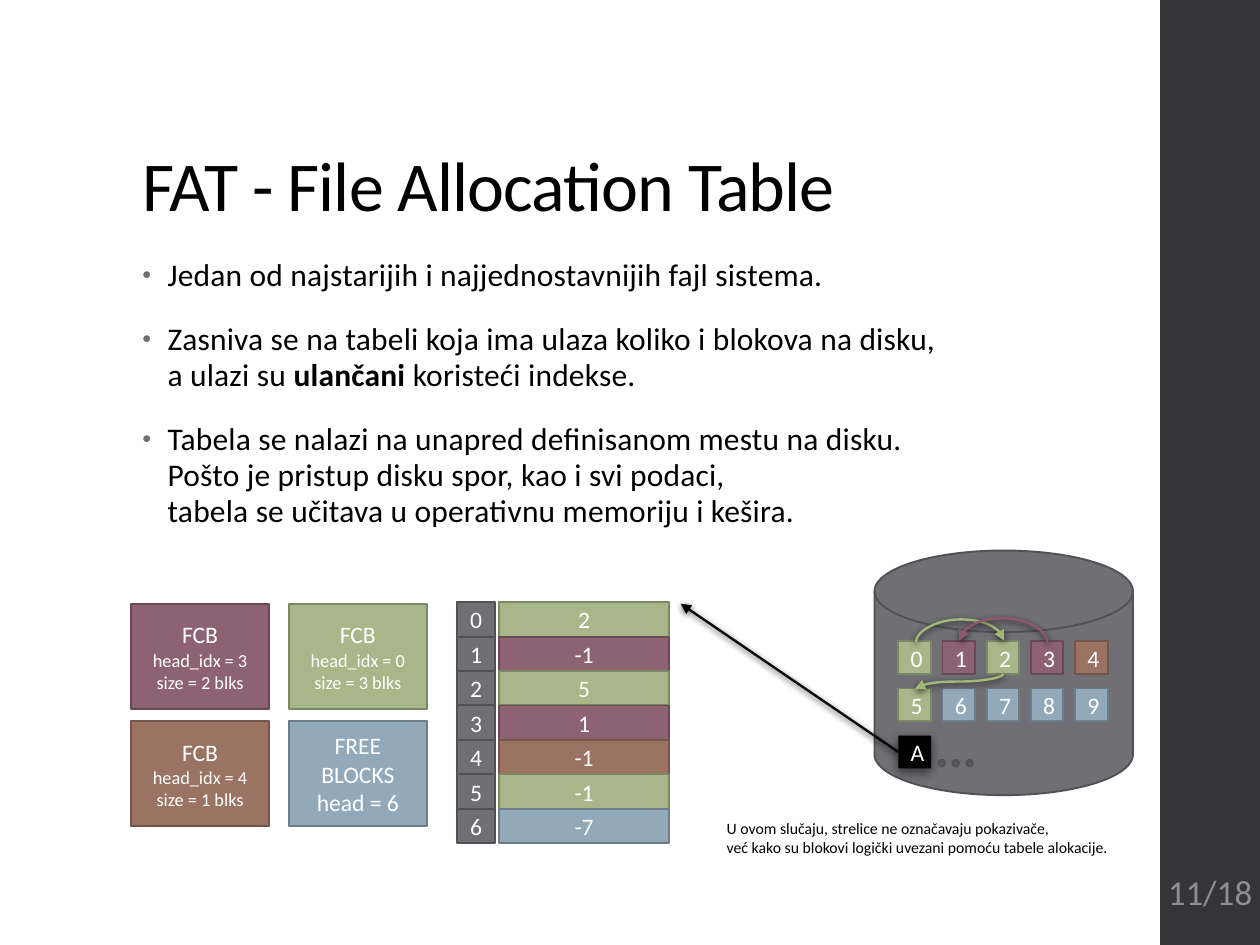
from dataclasses import dataclass

from lxml.etree import SubElement
from pptx import Presentation
from pptx.dml.color import RGBColor
from pptx.enum.shapes import MSO_CONNECTOR as Link, MSO_SHAPE as Form
from pptx.enum.text import MSO_ANCHOR as Anchor, MSO_AUTO_SIZE as Auto, PP_ALIGN as Align
from pptx.oxml.ns import qn
from pptx.util import Cm, Pt

HUES = {
    "plum": ("8D6374", "684956"),
    "green": ("A7B789", "7C8765"),
    "brown": ("9B7362", "735549"),
    "blue": ("92A9B9", "6C7D89"),
    "grey": ("6F6F74", "525256"),
    "dot": ("595959", "525256"),
    "black": ("000000", None),
    "side": ("353537", None),
}
MID = {"alignment": Align.CENTER}
BODY = {"line_spacing": 0.95, "space_before": Pt(14), "space_after": Pt(2)}


@dataclass
class Box:
    x: float
    y: float
    w: float
    h: float

    def sides(self) -> list:
        return [Cm(v) for v in (self.x, self.y, self.w, self.h)]


@dataclass
class Card:
    hue: str
    lines: list
    small: float = 10.5


@dataclass
class Curve:
    box: Box
    hue: str
    turn: int
    flips: tuple
    bend: int


def tint(code: str) -> RGBColor:
    return RGBColor.from_string(code)


def apply(thing, form: dict) -> None:
    for key, val in form.items():
        setattr(thing, key, val)


def node(root, tag: str, **vals):
    return SubElement(root, qn(tag), {k: str(v) for k, v in vals.items()})


def write(para, text: str, size: float, code: str, form: dict, track: int = 0) -> None:
    apply(para, form)
    for i, part in enumerate(text.split("*")):
        for j, line in enumerate(part.split("\n")):
            if j:
                para.add_line_break()
            run = para.add_run()
            run.text = line
            apply(run.font, {"name": "Calibri", "size": Pt(size), "bold": i % 2 == 1})
            run.font.color.rgb = tint(code)
            if track:
                run.font._element.set("spc", str(track))


def shade(root, clear: int, blur: float, dist: float) -> None:
    cast = node(root, "a:outerShdw", blurRad=Pt(blur), dist=Pt(dist), dir=5400000,
                algn="ctr", rotWithShape=0)
    node(node(cast, "a:srgbClr", val="000000"), "a:alpha", val=clear * 1000)


def draw(slide, form, box: Box, hue: str, lines=(), small: float = 13.5):
    shape = slide.shapes.add_shape(form, *box.sides())
    shape.shadow.inherit = False
    fill, edge = HUES[hue]
    shape.fill.solid()
    shape.fill.fore_color.rgb = tint(fill)
    if edge:
        shape.line.color.rgb = tint(edge)
        shape.line.width = Pt(1.1)
    else:
        shape.line.fill.background()
    frame = shape.text_frame
    apply(frame, {"word_wrap": True, "vertical_anchor": Anchor.MIDDLE})
    for i, line in enumerate(lines):
        para = frame.add_paragraph() if i else frame.paragraphs[0]
        write(para, line, small if i else 13.5, "FFFFFF", MID)
    return shape


def label(slide, box: Box):
    frame = slide.shapes.add_textbox(*box.sides()).text_frame
    frame.word_wrap = True
    return frame


def style(wire, code: str) -> None:
    wire.line.color.rgb = tint(code)
    wire.line.width = Pt(1.35)
    edge = wire.line._get_or_add_ln()
    node(edge.find(".//" + qn("a:srgbClr")), "a:alpha", val=95000)
    node(edge, "a:tailEnd", type="triangle")
    shade(node(wire._element.spPr, "a:effectLst"), 75, 4, 1.2)


def bend(slide, curve: Curve) -> None:
    x, y, w, h = curve.box.sides()
    wire = slide.shapes.add_connector(Link.CURVE, x, y, x + w, y + h)
    props = wire._element.spPr
    props.xfrm.set("rot", str(curve.turn * 60000))
    for flip in curve.flips:
        props.xfrm.set(flip, "1")
    node(props.find(".//" + qn("a:avLst")), "a:gd", name="adj1", fmla=f"val {curve.bend}")
    style(wire, curve.hue)


def prose(slide) -> None:
    title = slide.shapes.title
    apply(title, dict(zip(("left", "top", "width", "height"),
                          Box(2.62, 1.02, 20.19, 3.68).sides())))
    apply(title.text_frame, {"word_wrap": True, "auto_size": Auto.NONE,
                             "vertical_anchor": Anchor.BOTTOM})
    write(title.text_frame.paragraphs[0], "FAT - File Allocation Table", 40, "000000",
          {"alignment": Align.LEFT, "line_spacing": 0.9}, -50)

    frame = label(slide, Box(2.62, 5.08, 19.02, 12.09))
    points = [
        "Jedan od najstarijih i najjednostavnijih fajl sistema.",
        "Zasniva se na tabeli koja ima ulaza koliko i blokova na disku,\n"
        "a ulazi su *ulančani* koristeći indekse.",
        "Tabela se nalazi na unapred definisanom mestu na disku.\n"
        "Pošto je pristup disku spor, kao i svi podaci, \n"
        "tabela se učitava u operativnu memoriju i kešira.",
    ]
    for i, point in enumerate(points):
        para = frame.add_paragraph() if i else frame.paragraphs[0]
        write(para, point, 18, "000000", BODY, 10)
        props = para._p.get_or_add_pPr()
        props.set("marL", str(Cm(0.51)))
        props.set("indent", str(-Cm(0.51)))
        node(node(props, "a:buClr"), "a:srgbClr", val="6F6F74")
        node(props, "a:buSzPct", val=80000)
        node(props, "a:buFont", typeface="Arial")
        node(props, "a:buChar", char="•")

    page = label(slide, Box(23.44, 17.15, 1.91, 1.65))
    apply(page, {"vertical_anchor": Anchor.MIDDLE, "margin_left": Cm(0.08),
                 "margin_right": Cm(0.08)})
    write(page.paragraphs[0], "11/18", 20, "8E8E94", MID)


def disk(slide) -> None:
    draw(slide, Form.FLOWCHART_MAGNETIC_DISK, Box(17.63, 11.1, 5.21, 4.93), "grey")
    hues = ["green", "plum", "green", "plum", "brown", "green"] + ["blue"] * 4
    for i, hue in enumerate(hues):
        row, col = divmod(i, 5)
        draw(slide, Form.RECTANGLE, Box(18.11 + 0.89 * col, 12.93 + 0.95 * row, 0.66, 0.66),
             hue, [str(i)])
    start = draw(slide, Form.RECTANGLE, Box(18.11, 14.83, 0.66, 0.66), "black", ["A"])
    shade(start._element.spPr.find(qn("a:effectLst")), 55, 6, 2)
    for i in range(3):
        draw(slide, Form.OVAL, Box(18.92 + 0.28 * i, 15.32, 0.13, 0.13), "dot")
    for curve in (
        Curve(Box(19.34, 12.04, 0.03, 1.78), "A7BE7B", 90, ("flipH", "flipV"), 1524000),
        Curve(Box(19.18, 12.85, 0.3, 1.78), "A7BE7B", 90, (), 50000),
        Curve(Box(20.21, 12.04, 0.03, 1.78), "94576F", 270, ("flipV",), 1600000),
    ):
        bend(slide, curve)
    ends = [Cm(v) for v in (18.11, 15.16, 13.72, 12.17)]
    style(slide.shapes.add_connector(Link.STRAIGHT, *ends), "000000")


def table(slide) -> None:
    rows = [("2", "green"), ("-1", "plum"), ("5", "green"), ("1", "plum"),
            ("-1", "brown"), ("-1", "green"), ("-7", "blue")]
    high = 4.86 / len(rows)
    for i, (val, hue) in enumerate(rows):
        top = 12.14 + high * i
        draw(slide, Form.RECTANGLE, Box(10.06, top, 3.43, high), hue, [val])
        draw(slide, Form.RECTANGLE, Box(9.22, top, 0.76, high), "grey", [str(i)])


def cards(slide) -> None:
    deck = [
        Card("plum", ["FCB", "head_idx = 3", "size = 2 blks"]),
        Card("green", ["FCB", "head_idx = 0", "size = 3 blks"]),
        Card("brown", ["FCB", "head_idx = 4", "size = 1 blks"]),
        Card("blue", ["FREE BLOCKS", "head = 6"], 13.5),
    ]
    for i, card in enumerate(deck):
        row, col = divmod(i, 2)
        draw(slide, Form.RECTANGLE, Box(2.64 + 3.18 * col, 12.17 + 2.36 * row, 2.79, 2.13),
             card.hue, card.lines, card.small)


def main() -> None:
    show = Presentation()
    apply(show, {"slide_width": Cm(25.4), "slide_height": Cm(19.05)})
    slide = show.slides.add_slide(show.slide_layouts[5])
    draw(slide, Form.RECTANGLE, Box(23.39, 0, 2.01, 19.05), "side")
    prose(slide)
    disk(slide)
    table(slide)
    cards(slide)
    note = label(slide, Box(14.4, 16.38, 11.66, 1.42))
    write(note.paragraphs[0], "U ovom slučaju, strelice ne označavaju pokazivače,\n"
          "već kako su blokovi logički uvezani pomoću tabele alokacije.", 9, "000000", {})
    show.save("out.pptx")


if __name__ == "__main__":
    main()
